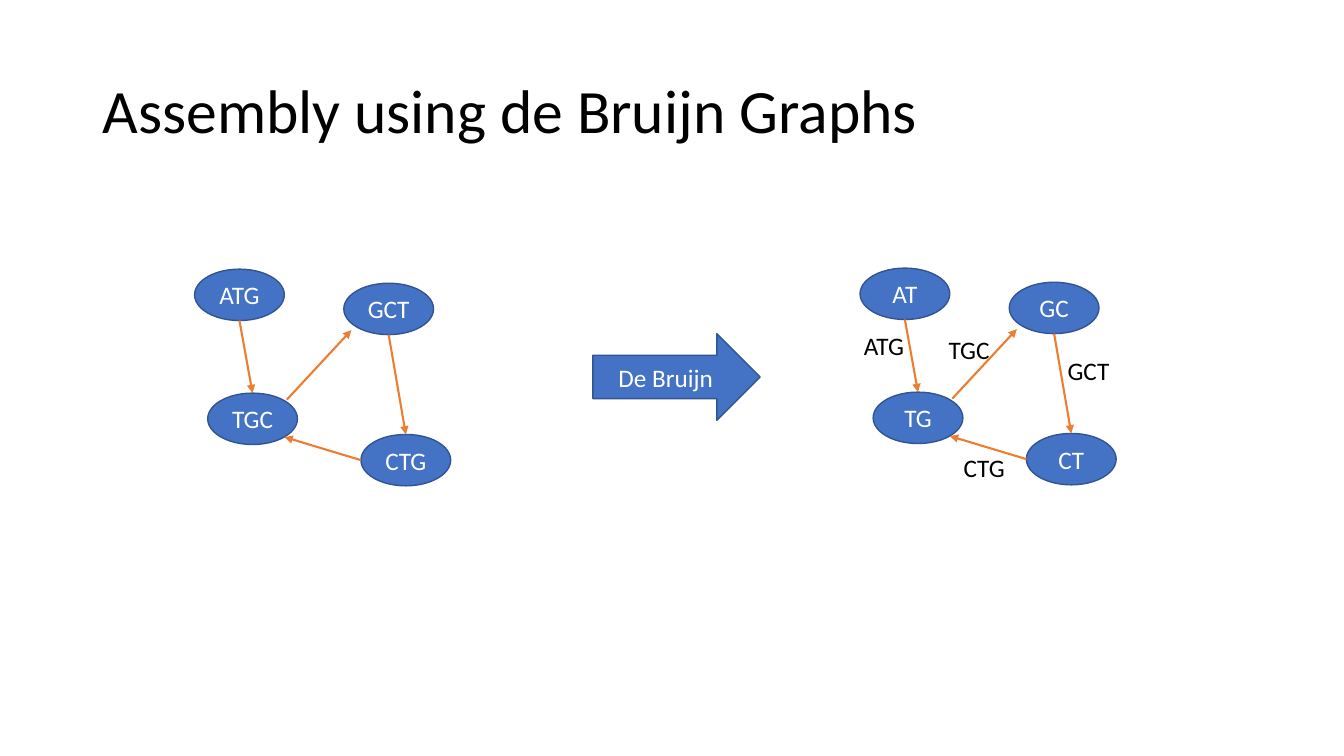
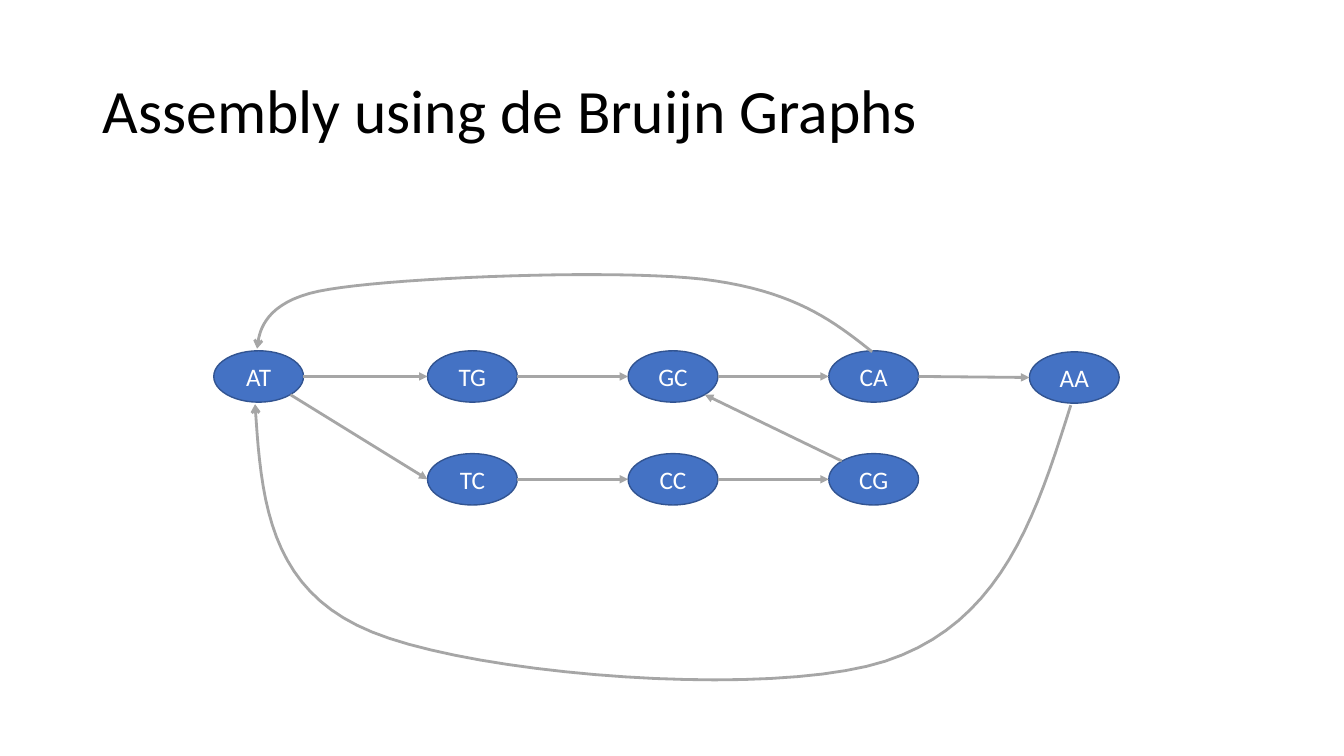
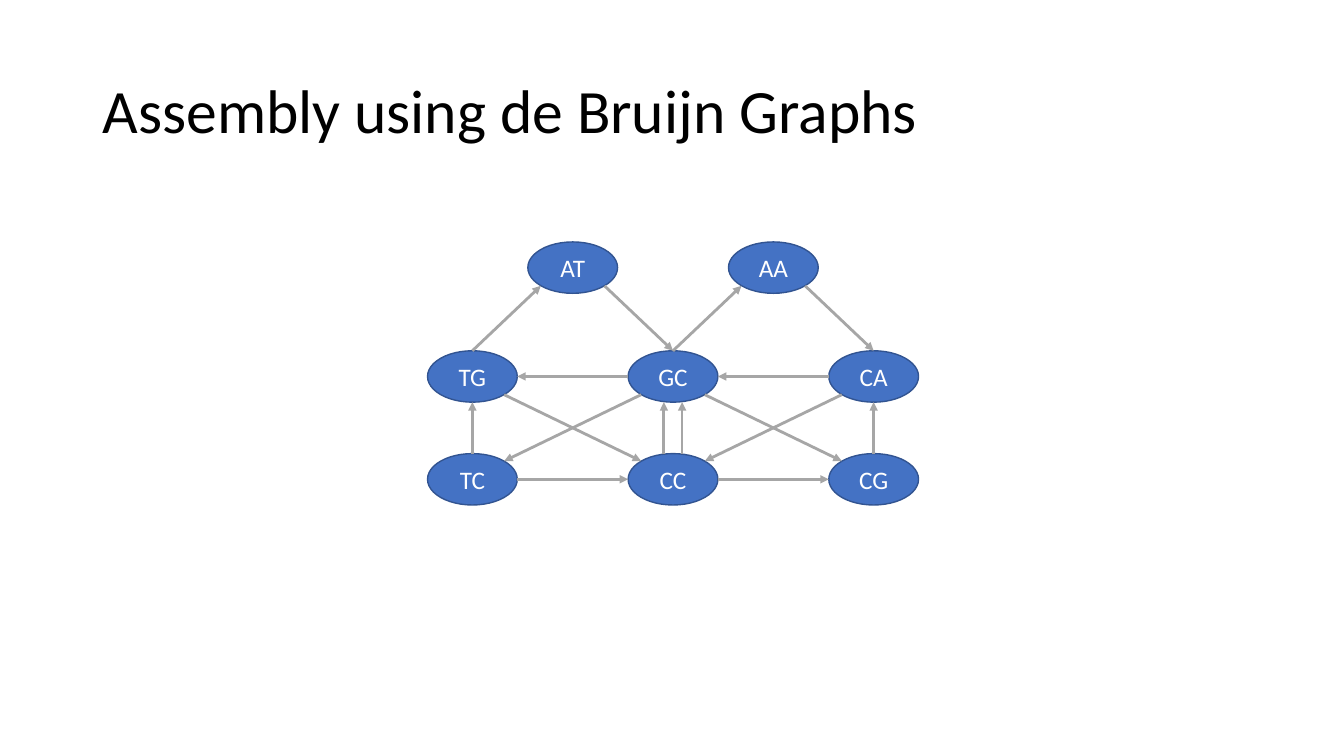
from dataclasses import dataclass

from lxml.etree import SubElement
from pptx import Presentation
from pptx.dml.color import RGBColor
from pptx.enum.shapes import MSO_CONNECTOR, MSO_SHAPE
from pptx.enum.text import MSO_ANCHOR, MSO_AUTO_SIZE, PP_ALIGN
from pptx.oxml.ns import qn
from pptx.shapes.autoshape import Shape
from pptx.shapes.connector import Connector
from pptx.shapes.shapetree import GroupShapes, SlideShapes
from pptx.slide import Slide
from pptx.text.text import TextFrame
from pptx.util import Inches, Pt

# Shared look
BLUE = RGBColor(0x44, 0x72, 0xC4)
NAVY = RGBColor(0x32, 0x54, 0x91)
ORANGE = RGBColor(0xED, 0x7D, 0x31)
GRAY = RGBColor(0xA6, 0xA6, 0xA6)
BLACK = RGBColor(0, 0, 0)
WHITE = RGBColor(0xFF, 0xFF, 0xFF)
FONT = "Calibri"
TITLE = "Assembly using de Bruijn Graphs"

# Node size, and where edges meet a node, measured from its centre
WIDE, HIGH = 0.89, 0.51
RX, RY = WIDE / 2, HIGH / 2
DX, DY = RX * 0.71, RY * 0.71
PORTS: dict[str, tuple[float, float]] = {
    "top": (0, -RY), "low": (0, RY), "left": (-RX, 0), "right": (RX, 0),
    "nw": (-DX, -DY), "ne": (DX, -DY), "sw": (-DX, DY), "se": (DX, DY),
    "top a": (-0.09, -RY), "top b": (0.09, -RY),
    "low a": (-0.09, RY), "low b": (0.09, RY),
    "off ne": (0.34, -0.19), "off sw": (-0.37, 0.21),
}

Point = tuple[float, float]
Canvas = SlideShapes | GroupShapes


@dataclass(frozen=True)
class Node:
    text: str
    x: float
    y: float

    def port(self, name: str) -> Point:
        dx, dy = PORTS[name]
        return self.x + RX + dx, self.y + RY + dy


@dataclass(frozen=True)
class Edge:
    src: str
    exit: str
    dst: str
    entry: str


@dataclass(frozen=True)
class Label:
    text: str
    x: float
    y: float
    w: float


# Drawing
def write(frame: TextFrame, text: str, size: int, color: RGBColor) -> None:
    run = frame.paragraphs[0].add_run()
    run.text = text
    run.font.name = FONT
    run.font.size = Pt(size)
    run.font.color.rgb = color


def add_head(shape: Shape | Connector, color: RGBColor,
             width: float, head: str) -> None:
    shape.line.color.rgb = color
    shape.line.width = Pt(width)
    outline = shape._element.spPr.find(qn("a:ln"))
    SubElement(outline, qn("a:tailEnd"), type=head)


def draw_block(shapes: Canvas, kind: MSO_SHAPE, text: str,
               x: float, y: float, w: float, h: float) -> None:
    block = shapes.add_shape(kind, Inches(x), Inches(y), Inches(w), Inches(h))
    block.shadow.inherit = False
    block.fill.solid()
    block.fill.fore_color.rgb = BLUE
    block.line.color.rgb = NAVY
    block.line.width = Pt(1)
    frame = block.text_frame
    frame.vertical_anchor = MSO_ANCHOR.MIDDLE
    frame.paragraphs[0].alignment = PP_ALIGN.CENTER
    write(frame, text, 18, WHITE)


def draw_edge(shapes: Canvas, start: Point, end: Point,
              color: RGBColor, width: float) -> None:
    ends = [Inches(v) for v in start + end]
    edge = shapes.add_connector(MSO_CONNECTOR.STRAIGHT, *ends)
    add_head(edge, color, width, "triangle")
    SubElement(edge._element.spPr, qn("a:effectLst"))


def draw_graph(shapes: Canvas, nodes: list[Node], edges: list[Edge],
               color: RGBColor = GRAY, width: float = 2) -> None:
    for node in nodes:
        draw_block(shapes, MSO_SHAPE.OVAL, node.text, node.x, node.y, WIDE, HIGH)
    find = {node.text: node for node in nodes}
    for edge in edges:
        draw_edge(shapes, find[edge.src].port(edge.exit),
                  find[edge.dst].port(edge.entry), color, width)


def draw_label(shapes: Canvas, label: Label) -> None:
    box = shapes.add_textbox(Inches(label.x), Inches(label.y),
                             Inches(label.w), Inches(0.4))
    box.text_frame.word_wrap = False
    box.text_frame.auto_size = MSO_AUTO_SIZE.SHAPE_TO_FIT_TEXT
    write(box.text_frame, label.text, 18, BLACK)


def draw_curve(shapes: Canvas, knots: list[Point], steps: int = 20) -> None:
    """Draw chained cubic curves: a start, then three points for each."""
    track: list[Point] = []
    for i in range(0, len(knots) - 1, 3):
        for step in range(1, steps + 1):
            t = step / steps
            u = 1 - t
            mix = (u ** 3, 3 * u * u * t, 3 * u * t * t, t ** 3)
            part = list(zip(mix, knots[i:i + 4]))
            track.append((Inches(sum(m * p[0] for m, p in part)),
                          Inches(sum(m * p[1] for m, p in part))))
    x, y = knots[0]
    pen = shapes.build_freeform(Inches(x), Inches(y))
    pen.add_line_segments(track, close=False)
    curve = pen.convert_to_shape()
    curve.shadow.inherit = False
    curve.fill.background()
    add_head(curve, GRAY, 2, "arrow")


deck = Presentation()
deck.slide_width = Inches(13.33)
deck.slide_height = Inches(7.5)


def add_page() -> Slide:
    page = deck.slides.add_slide(deck.slide_layouts[6])
    box = page.shapes.add_textbox(Inches(0.92), Inches(0.4),
                                  Inches(11.5), Inches(1.45))
    frame = box.text_frame
    frame.word_wrap = True
    frame.vertical_anchor = MSO_ANCHOR.MIDDLE
    frame.paragraphs[0].line_spacing = 0.9
    write(frame, TITLE, 44, BLACK)
    return page


# Slide 1: overlap graph turned into a de Bruijn graph
def draw_loop(page: Slide, names: list[str], dx: float, dy: float,
              labels: list[Label]) -> None:
    spots = [(1.93, 2.67), (2.06, 3.9), (3.41, 2.81), (3.58, 4.31)]
    nodes = [Node(name, x + dx, y + dy) for name, (x, y) in zip(names, spots)]
    one, two, three, four = names
    edges = [Edge(one, "low", two, "top"), Edge(two, "off ne", three, "off sw"),
             Edge(three, "low", four, "top"), Edge(four, "left", two, "se")]
    group = page.shapes.add_group_shape()
    draw_graph(group.shapes, nodes, edges, ORANGE, 1.5)
    for label in labels:
        draw_label(group.shapes, label)


page = add_page()
draw_loop(page, ["ATG", "TGC", "GCT", "CTG"], 0, 0, [])
draw_loop(page, ["AT", "TG", "GC", "CT"], 6.6, -0.01, [
    Label("ATG", 8.47, 3.23, 0.6), Label("TGC", 9.31, 3.27, 0.61),
    Label("CTG", 9.46, 4.44, 0.61), Label("GCT", 10.49, 3.48, 0.62)])
draw_block(page.shapes, MSO_SHAPE.RIGHT_ARROW, "De Bruijn", 5.88, 3.31, 1.66, 0.86)

# Grid shared by slides 2 and 3
LEFT, PITCH, UPPER, LOWER = 4.24, 1.99, 3.48, 4.5
GRID = [Node(name, LEFT + i * PITCH, y)
        for y, row in ((UPPER, ("TG", "GC", "CA")), (LOWER, ("TC", "CC", "CG")))
        for i, name in enumerate(row)]
BASE = [Edge("TC", "right", "CC", "left"), Edge("CC", "right", "CG", "left")]

# Slide 2: graph with two return paths
page = add_page()
draw_graph(page.shapes, GRID + [Node("AT", 2.12, UPPER),
                                Node("AA", LEFT + 3 * PITCH, 3.49)], BASE + [
    Edge("AT", "right", "TG", "left"), Edge("TG", "right", "GC", "left"),
    Edge("GC", "right", "CA", "left"), Edge("CA", "right", "AA", "left"),
    Edge("AT", "se", "TC", "left"), Edge("CG", "nw", "GC", "se")])
draw_curve(page.shapes, [
    (8.65, 3.49), (8.26, 3.18), (7.87, 2.88), (6.97, 2.77), (6.08, 2.67),
    (4, 2.75), (3.27, 2.87), (2.53, 2.98), (2.57, 3.39), (2.55, 3.46)])
draw_curve(page.shapes, [
    (10.62, 4.02), (10.28, 5.1), (9.94, 6.18), (8.78, 6.56), (7.63, 6.93),
    (4.74, 6.7), (3.69, 6.27), (2.65, 5.85), (2.59, 4.93), (2.53, 4.01)])

# Slide 3: dense graph
page = add_page()
peaks = [Node(name, LEFT + (i + 0.5) * PITCH, 2.4)
         for i, name in enumerate(("AT", "AA"))]
draw_graph(page.shapes, GRID + peaks, BASE + [
    Edge("TG", "top", "AT", "sw"), Edge("AT", "se", "GC", "top"),
    Edge("GC", "top", "AA", "sw"), Edge("AA", "se", "CA", "top"),
    Edge("GC", "left", "TG", "right"), Edge("CA", "left", "GC", "right"),
    Edge("TC", "top", "TG", "low"), Edge("CG", "top", "CA", "low"),
    Edge("CC", "top a", "GC", "low a"), Edge("CC", "top b", "GC", "low b"),
    Edge("TG", "se", "CC", "nw"), Edge("GC", "sw", "TC", "ne"),
    Edge("GC", "se", "CG", "nw"), Edge("CA", "sw", "CC", "ne")])

deck.save("out.pptx")
